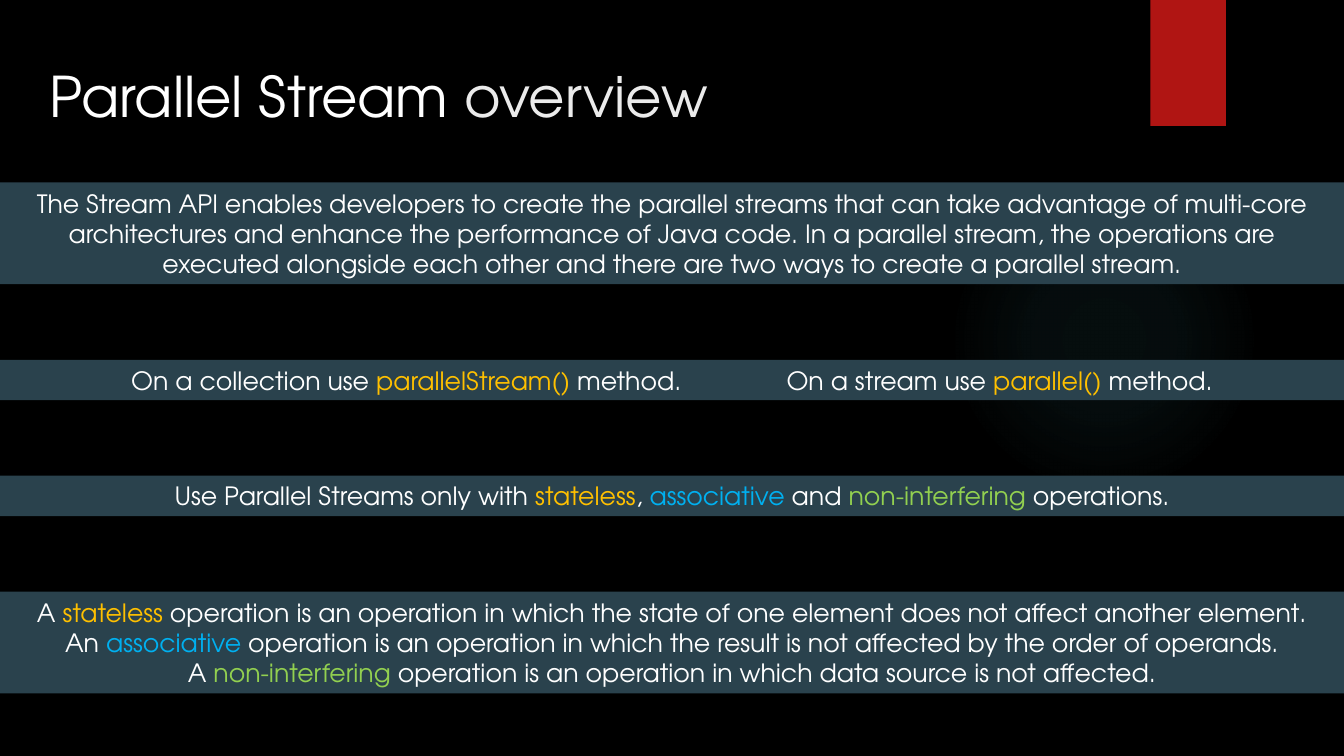
from lxml import etree
from pptx import Presentation
from pptx import util as u
from pptx.dml.color import RGBColor
from pptx.enum import shapes, text
from pptx.oxml import parse_xml
from pptx.oxml.ns import nsdecls, qn

WIDTH, HEIGHT = u.Inches(13.33), u.Inches(7.5)
FONT = "TeX Gyre Adventor"
BLACK = RGBColor(0x00, 0x00, 0x00)
WHITE = RGBColor(0xFF, 0xFF, 0xFF)
PALE = RGBColor(0xEB, 0xEB, 0xEB)
RED = RGBColor(0xB0, 0x15, 0x13)
SLATE = RGBColor(0x2A, 0x42, 0x4D)
AMBER = RGBColor(0xFF, 0xC0, 0x00)
BLUE = RGBColor(0x00, 0xB0, 0xF0)
GREEN = RGBColor(0x92, 0xD0, 0x50)
GLOW = "50B9C1"


def add_block(kind, left, top, width, height, fill=None):
    """Add a preset shape, in inches, without outline or shadow."""
    sp = s.shapes.add_shape(kind, *map(u.Inches, (left, top, width, height)))
    sp.shadow.inherit = False
    sp.line.fill.background()
    if fill is not None:
        sp.fill.solid()
        sp.fill.fore_color.rgb = fill
    return sp


def write(tf, lines, size=18, align=text.PP_ALIGN.CENTER):
    """Fill a text frame with lines made of (text, colour) pairs."""
    tf.word_wrap = True
    tf.vertical_anchor = text.MSO_ANCHOR.MIDDLE
    for i, line in enumerate(lines):
        p = tf.add_paragraph() if i else tf.paragraphs[0]
        p.alignment = align
        for words, colour in line:
            r = p.add_run()
            r.text = words
            r.font.name, r.font.size = FONT, u.Pt(size)
            r.font.color.rgb = colour


prs = Presentation()
prs.slide_width, prs.slide_height = WIDTH, HEIGHT
s = prs.slides.add_slide(prs.slide_layouts[6])
s.background.fill.solid()
s.background.fill.fore_color.rgb = BLACK

# Faint round glow
glow = add_block(shapes.MSO_SHAPE.OVAL, 9.41, 1.83, 3.08, 3.08)
stops = "".join(
    f'<a:gs pos="{pos * 1000}"><a:srgbClr val="{GLOW}">'
    f'<a:alpha val="{alpha * 1000}"/></a:srgbClr></a:gs>'
    for pos, alpha in ((0, 7), (36, 6), (69, 0)))
glow._element.spPr.find(qn("a:prstGeom")).addnext(parse_xml(
    f'<a:gradFill {nsdecls("a")} rotWithShape="1"><a:gsLst>{stops}</a:gsLst>'
    '<a:path path="circle"><a:fillToRect l="50000" t="50000" r="50000" b="50000"/>'
    '</a:path></a:gradFill>'))

# Red tab with a soft shadow below
tab = add_block(shapes.MSO_SHAPE.RECTANGLE, 11.41, 0, 0.75, 1.25, RED)
shadow = etree.SubElement(
    tab._element.spPr.find(qn("a:effectLst")), qn("a:outerShdw"),
    blurRad=str(u.Pt(3)), dist=str(u.Pt(2)), dir="5400000", rotWithShape="0")
shade = etree.SubElement(shadow, qn("a:srgbClr"), val=str(BLACK))
etree.SubElement(shade, qn("a:alpha"), val="45000")

title = s.shapes.add_textbox(*map(u.Inches, (0.39, 0.5, 11.05, 0.88)))
write(title.text_frame, [[("Parallel Stream ", WHITE), ("overview", PALE)]],
      size=40, align=text.PP_ALIGN.LEFT)

# Full-width bands, stacked with equal gaps
GAP = 0.75
bands = [
    (1.01, [[("The Stream API enables developers to create the parallel streams that can "
              "take advantage of multi-core architectures and enhance the performance of "
              "Java code. In a parallel stream, the operations are executed alongside each "
              "other and there are two ways to create a parallel stream.", WHITE)]]),
    (0.4, [[("On a collection use ", WHITE), ("parallelStream() ", AMBER),
            ("method.\t\t\tOn a stream use ", WHITE), ("parallel() ", AMBER),
            ("method.", WHITE)]]),
    (0.4, [[("Use Parallel Streams only with ", WHITE), ("stateless", AMBER),
            (", ", WHITE), ("associative ", BLUE), ("and ", WHITE),
            ("non-interfering ", GREEN), ("operations.", WHITE)]]),
    (1.01, [
        [("A ", WHITE), ("stateless", AMBER),
         (" operation is an operation in which the state of one element does not "
          "affect another element.", WHITE)],
        [("An ", WHITE), ("associative", BLUE),
         (" operation is an operation in which the result is not affected by the "
          "order of operands.", WHITE)],
        [("A ", WHITE), ("non-interfering", GREEN),
         (" operation is an operation in which data source is not affected.", WHITE)]]),
]
top = 1.81
for height, lines in bands:
    band = add_block(shapes.MSO_SHAPE.RECTANGLE, 0, top, WIDTH.inches, height, SLATE)
    write(band.text_frame, lines)
    top += height + GAP

prs.save("out.pptx")
